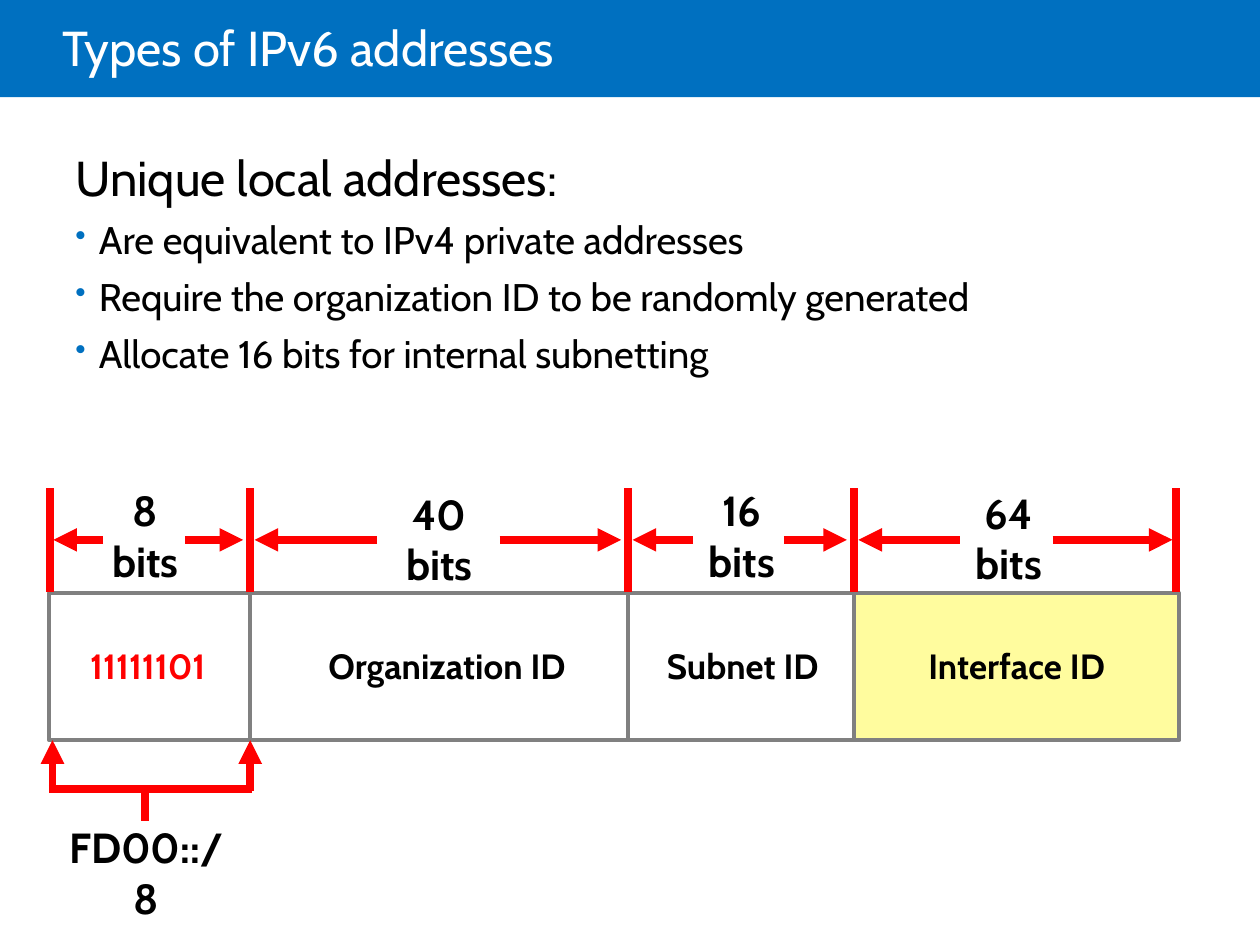
from collections import namedtuple
from itertools import accumulate

from lxml import etree
from pptx import Presentation
from pptx.dml import color
from pptx.enum import shapes, text
from pptx.oxml import ns
from pptx.util import Pt

BLUE = color.RGBColor(0x00, 0x70, 0xC0)
WHITE = color.RGBColor(0xFF, 0xFF, 0xFF)
BLACK = color.RGBColor(0x00, 0x00, 0x00)
RED = color.RGBColor(0xFF, 0x00, 0x00)
GRAY = color.RGBColor(0x80, 0x80, 0x80)
YELLOW = color.RGBColor(0xFF, 0xFC, 0x9E)
FONT = "Cabin"

Field = namedtuple("Field", "name width bits color name_shift bits_shift bits_drop gap_left gap_right")
FIELDS = [
    Field("11111101", 115, "8", RED, -1, -2.5, 0, 24, 23),
    Field("Organization ID", 216, "40", BLACK, 4.5, 0, 2, 35.5, 34.5),
    Field("Subnet ID", 129, "16", BLACK, 1, 0.5, 0, 28, 24),
    Field("Interface ID", 186, "64", BLACK, 0, -4.5, 1.5, 28, 25),
]
BULLETS = [
    "Are equivalent to IPv4 private addresses",
    "Require the organization ID to be randomly generated",
    "Allocate 16 bits for internal subnetting",
]


def add_run(paragraph, words, size, font_color, bold=False):
    run = paragraph.add_run()
    run.text = words
    run.font.name = FONT
    run.font.size = Pt(size)
    run.font.bold = bold
    run.font.color.rgb = font_color


def add_frame(slide, left, top, width, height):
    frame = slide.shapes.add_textbox(Pt(left), Pt(top), Pt(width), Pt(height)).text_frame
    frame.word_wrap = True
    return frame


def add_label(slide, center, top, width, height, lines, size, font_color=BLACK):
    frame = add_frame(slide, center - width / 2, top, width, height)
    for index, line in enumerate(lines):
        paragraph = frame.add_paragraph() if index else frame.paragraphs[0]
        paragraph.alignment = text.PP_ALIGN.CENTER
        add_run(paragraph, line, size, font_color, bold=True)


def add_rectangle(slide, left, top, width, height, fill=None, line=None):
    shape = slide.shapes.add_shape(
        shapes.MSO_SHAPE.RECTANGLE, Pt(left), Pt(top), Pt(width), Pt(height))
    shape.shadow.inherit = False
    if fill is None:
        shape.fill.background()
    else:
        shape.fill.solid()
        shape.fill.fore_color.rgb = fill
    if line is None:
        shape.line.fill.background()
    else:
        shape.line.color.rgb = line
        shape.line.width = Pt(2.25)


def add_line(slide, x1, y1, x2, y2, line_color=RED, weight=4.5, arrow=False):
    connector = slide.shapes.add_connector(
        shapes.MSO_CONNECTOR.STRAIGHT, Pt(x1), Pt(y1), Pt(x2), Pt(y2))
    connector.line.color.rgb = line_color
    connector.line.width = Pt(weight)
    properties = connector._element.spPr
    if arrow:
        etree.SubElement(properties.find(ns.qn("a:ln")), ns.qn("a:tailEnd"), type="triangle")
    etree.SubElement(properties, ns.qn("a:effectLst"))


def add_bullet(paragraph):
    properties = paragraph._p.get_or_add_pPr()
    properties.set("marL", str(Pt(13.5)))
    properties.set("indent", str(Pt(-13.5)))
    bullet_color = etree.SubElement(properties, ns.qn("a:buClr"))
    etree.SubElement(bullet_color, ns.qn("a:srgbClr"), val=str(BLUE))
    etree.SubElement(properties, ns.qn("a:buSzPct"), val="80000")
    etree.SubElement(properties, ns.qn("a:buChar"), char="•")


def add_title(slide, left, top, width, height):
    add_rectangle(slide, left, top, width, height, fill=BLUE)
    frame = add_frame(slide, left + 36, top, 612, height + 3)
    frame.margin_left = 0
    frame.vertical_anchor = text.MSO_ANCHOR.MIDDLE
    paragraph = frame.paragraphs[0]
    paragraph.line_spacing = 0.85
    add_run(paragraph, "Types of IPv6 addresses", 28, WHITE)


def add_body(slide, left, top, width, height):
    frame = add_frame(slide, left, top, width, height)
    heading = frame.paragraphs[0]
    heading.space_before = Pt(6)
    add_run(heading, "Unique local addresses:", 28, BLACK)
    for words in BULLETS:
        paragraph = frame.add_paragraph()
        paragraph.space_before = Pt(6)
        add_bullet(paragraph)
        add_run(paragraph, words, 22, BLACK)


def add_field(slide, field, left, top, height):
    right = left + field.width
    center = left + field.width / 2
    bits_center = center + field.bits_shift
    arrow_y = top - 30.5
    add_label(slide, bits_center, top - 65.5 + field.bits_drop, 76, 65.5, [field.bits, "bits"], 24)
    add_label(slide, center + field.name_shift, top + 26, field.width + 20, 32,
              [field.name], 20, field.color)
    add_line(slide, bits_center - field.gap_left, arrow_y, left + 2.5, arrow_y, arrow=True)
    add_line(slide, bits_center + field.gap_right, arrow_y, right - 4, arrow_y, arrow=True)


def add_prefix_bracket(slide, left, top, width):
    bar_y = top + 28
    middle = left + width / 2 - 2.5
    for x in (left + 2, left + width):
        add_line(slide, x, bar_y + 1, x, top, arrow=True)
    add_line(slide, left, bar_y, left + width + 1, bar_y)
    add_line(slide, middle, bar_y - 2, middle, bar_y + 18)
    add_label(slide, middle + 0.5, top + 43, 110, 36, ["FD00::/8"], 24)


def add_address_layout(slide, left, top, width, height):
    edges = list(accumulate((field.width for field in FIELDS), initial=left))
    add_rectangle(slide, edges[-2], top, FIELDS[-1].width, height, fill=YELLOW)
    add_rectangle(slide, left, top, width, height, line=GRAY)
    for x in edges[1:-1]:
        add_line(slide, x, top, x, top + height, GRAY, 2.25)
    for x in [edges[0] + 0.5, *edges[1:-1], edges[-1] - 2]:
        add_line(slide, x, top - 60, x, top - 0.5)
    for field, x in zip(FIELDS, edges):
        add_field(slide, field, x, top, height)
    add_prefix_bracket(slide, left, top + height, FIELDS[0].width)


def main():
    presentation = Presentation()
    presentation.slide_width = Pt(720)
    presentation.slide_height = Pt(540)
    slide = presentation.slides.add_slide(presentation.slide_layouts[6])
    add_title(slide, 0, 0, 720, 55.5)
    add_body(slide, 36, 80.5, 639.5, 405.5)
    add_address_layout(slide, 28, 339, 646, 84)
    presentation.save("out.pptx")


if __name__ == "__main__":
    main()
